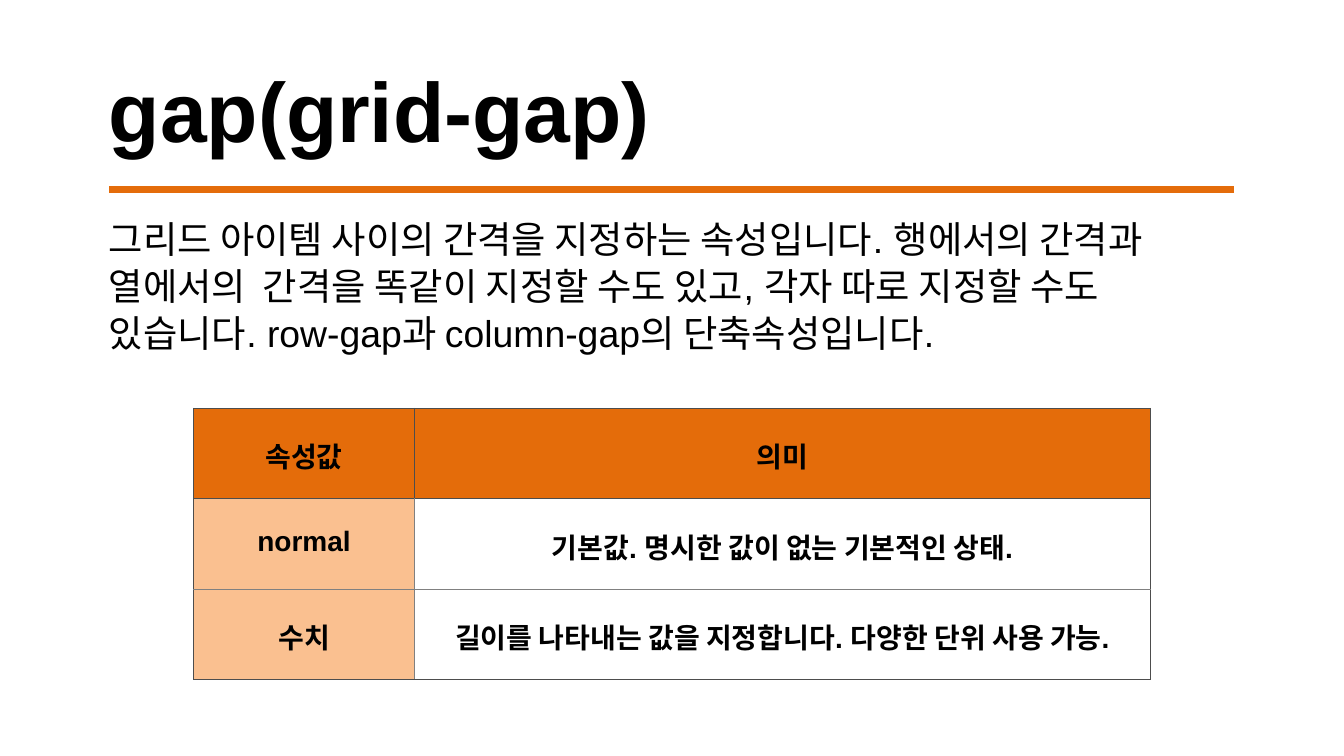
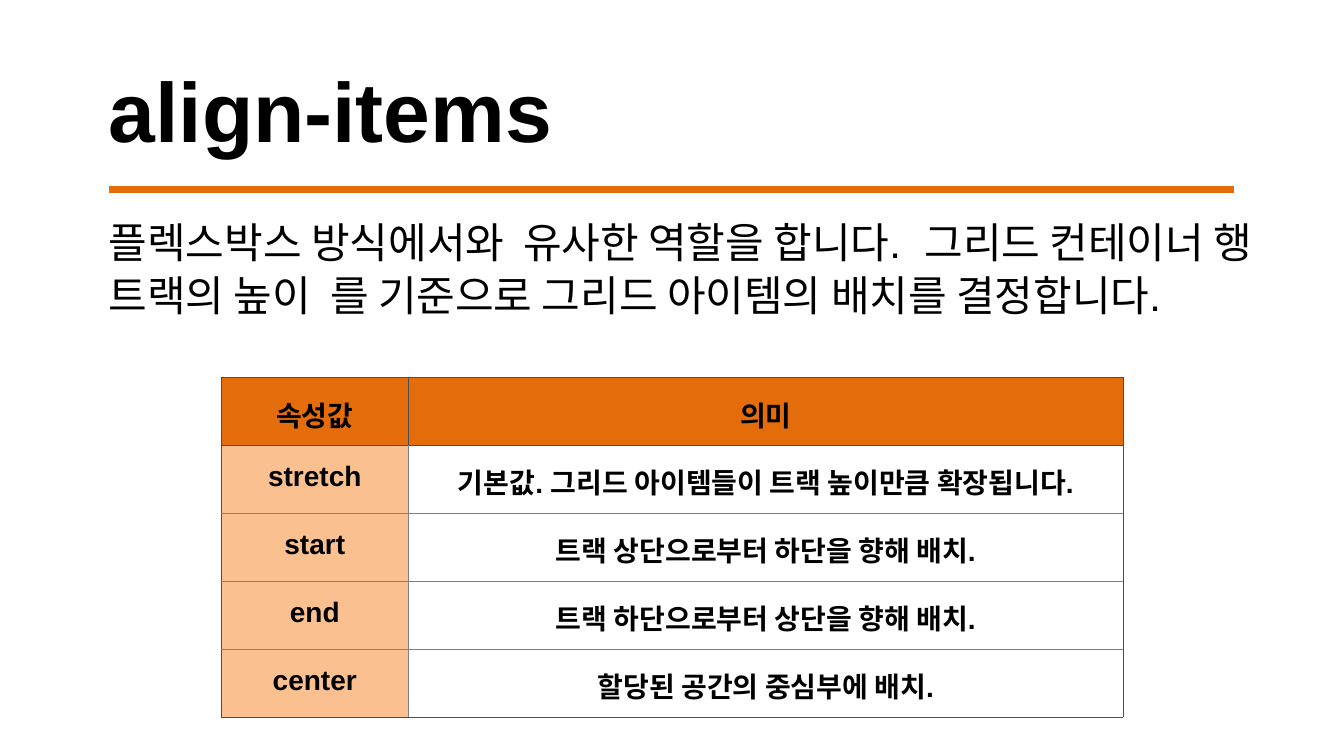
from lxml import etree
from pptx import Presentation
from pptx.dml.color import RGBColor
from pptx.enum.shapes import MSO_CONNECTOR
from pptx.enum.text import MSO_ANCHOR, PP_ALIGN
from pptx.oxml.ns import qn
from pptx.util import Cm, Pt

STRAIGHT = MSO_CONNECTOR.STRAIGHT
TOP, BOTTOM = MSO_ANCHOR.TOP, MSO_ANCHOR.BOTTOM
LEFT, CENTER = PP_ALIGN.LEFT, PP_ALIGN.CENTER

BLACK = RGBColor(0x00, 0x00, 0x00)
ORANGE = RGBColor(0xE4, 0x6C, 0x0A)
PEACH = RGBColor(0xFA, 0xC0, 0x90)
DARK_GRAY = RGBColor(0x4D, 0x4D, 0x4D)
GRAY = RGBColor(0x80, 0x80, 0x80)

FONT = "Arial"
SLIDE_WIDTH, SLIDE_HEIGHT = 55.85, 31.42
MARGIN = 4.52
BLANK_LAYOUT = 6
HEADERS = ("속성값", "의미")

TITLE_FORMAT = {"size": Pt(99), "bold": True}
BODY_FORMAT = {"bold": False}
CELL_FORMAT = {"size": Pt(33), "bold": True}


class Deck:
    def __init__(self):
        self.presentation = Presentation()
        self.presentation.slide_width = Cm(SLIDE_WIDTH)
        self.presentation.slide_height = Cm(SLIDE_HEIGHT)
        self.slide = None

    def add_slide(self, title, title_width):
        layout = self.presentation.slide_layouts[BLANK_LAYOUT]
        self.slide = self.presentation.slides.add_slide(layout)
        self.add_text(title, 2.36, title_width, 4.27, TITLE_FORMAT, anchor=BOTTOM)
        self.add_rule()

    def fill_paragraph(self, paragraph, text, font_format, alignment=LEFT):
        paragraph.alignment = alignment
        run = paragraph.add_run()
        run.text = text
        for name, value in {"name": FONT, **font_format}.items():
            setattr(run.font, name, value)
        run.font.color.rgb = BLACK

    def add_text(self, text, top, width, height, font_format,
                 anchor=TOP, right_margin=0, line_spacing=1.0):
        shape = self.slide.shapes.add_textbox(
            Cm(MARGIN), Cm(top), Cm(width), Cm(height))
        frame_format = {
            "word_wrap": True, "vertical_anchor": anchor,
            "margin_left": 0, "margin_top": Cm(0.03),
            "margin_right": Cm(right_margin), "margin_bottom": 0,
        }
        for name, value in frame_format.items():
            setattr(shape.text_frame, name, value)
        paragraph = shape.text_frame.paragraphs[0]
        paragraph.space_before = Pt(1)
        paragraph.line_spacing = line_spacing
        self.fill_paragraph(paragraph, text, font_format)

    def add_body(self, text, width, height, size, right_margin=0):
        self.add_text(text, 8.86, width, height, {**BODY_FORMAT, "size": Pt(size)},
                      right_margin=right_margin, line_spacing=1.05)

    def add_rule(self):
        rule = self.slide.shapes.add_connector(
            STRAIGHT, Cm(4.55), Cm(7.87), Cm(51.28), Cm(7.87))
        rule.line.color.rgb = ORANGE
        rule.line.width = Pt(8.25)
        etree.SubElement(rule._element.spPr, qn("a:effectLst"))

    def add_borders(self, cell, colors):
        properties = cell._tc.get_or_add_tcPr()
        for side in "LRTB":
            line = etree.SubElement(properties, qn(f"a:ln{side}"), w=str(Pt(1)))
            fill = etree.SubElement(line, qn("a:solidFill"))
            etree.SubElement(fill, qn("a:srgbClr"), val=str(colors[side]))

    def add_table(self, rows, top, column_widths, row_height, top_margin):
        rows = [HEADERS, *rows]
        width = sum(column_widths)
        table = self.slide.shapes.add_table(
            len(rows), len(column_widths), Cm((SLIDE_WIDTH - width) / 2), Cm(top),
            Cm(width), Cm(row_height * len(rows))).table
        table.first_row = table.horz_banding = False
        for column, column_width in zip(table.columns, column_widths):
            column.width = Cm(column_width)
        cell_format = {"margin_left": 0, "margin_right": 0,
                       "margin_top": Cm(top_margin), "margin_bottom": 0}
        last = len(rows) - 1
        for row_index, texts in enumerate(rows):
            table.rows[row_index].height = Cm(row_height)
            header = row_index == 0
            for column_index, text in enumerate(texts):
                cell = table.cell(row_index, column_index)
                first = column_index == 0
                for name, value in cell_format.items():
                    setattr(cell, name, value)
                inner = DARK_GRAY if header else GRAY
                self.add_borders(cell, {
                    "L": DARK_GRAY if first else inner,
                    "R": inner if first else DARK_GRAY,
                    "T": DARK_GRAY if row_index <= 1 else GRAY,
                    "B": DARK_GRAY if row_index in (0, last) else GRAY,
                })
                if header or first:
                    cell.fill.solid()
                    cell.fill.fore_color.rgb = ORANGE if header else PEACH
                else:
                    cell.fill.background()
                self.fill_paragraph(
                    cell.text_frame.paragraphs[0], text, CELL_FORMAT, CENTER)


def main():
    deck = Deck()

    deck.add_slide("gap(grid-gap)", 31.65)
    deck.add_body(
        "그리드 아이템 사이의 간격을 지정하는 속성입니다. 행에서의 간격과 "
        "열에서의  간격을 똑같이 지정할 수도 있고, 각자 따로 지정할 수도 "
        "있습니다. row-gap과 column-gap의 단축속성입니다.",
        45.69, 5.87, 44)
    deck.add_table([
        ("normal", "기본값. 명시한 값이 없는 기본적인 상태."),
        ("수치", "길이를 나타내는 값을 지정합니다. 다양한 단위 사용 가능."),
    ], 16.97, (9.17, 30.58), 3.76, 1.12)

    deck.add_slide("align-items", 32.72)
    deck.add_body(
        "플렉스박스 방식에서와  유사한 역할을 합니다.  그리드 컨테이너 "
        "행 트랙의 높이  를 기준으로 그리드 아이템의 배치를 결정합니다.",
        51.77, 6.6, 49.5, right_margin=3.5)
    deck.add_table([
        ("stretch", "기본값. 그리드 아이템들이 트랙 높이만큼 확장됩니다."),
        ("start", "트랙 상단으로부터 하단을 향해 배치."),
        ("end", "트랙 하단으로부터 상단을 향해 배치."),
        ("center", "할당된 공간의 중심부에 배치."),
    ], 15.7, (7.8, 29.69), 2.82, 0.66)

    deck.presentation.save("out.pptx")


if __name__ == "__main__":
    main()
